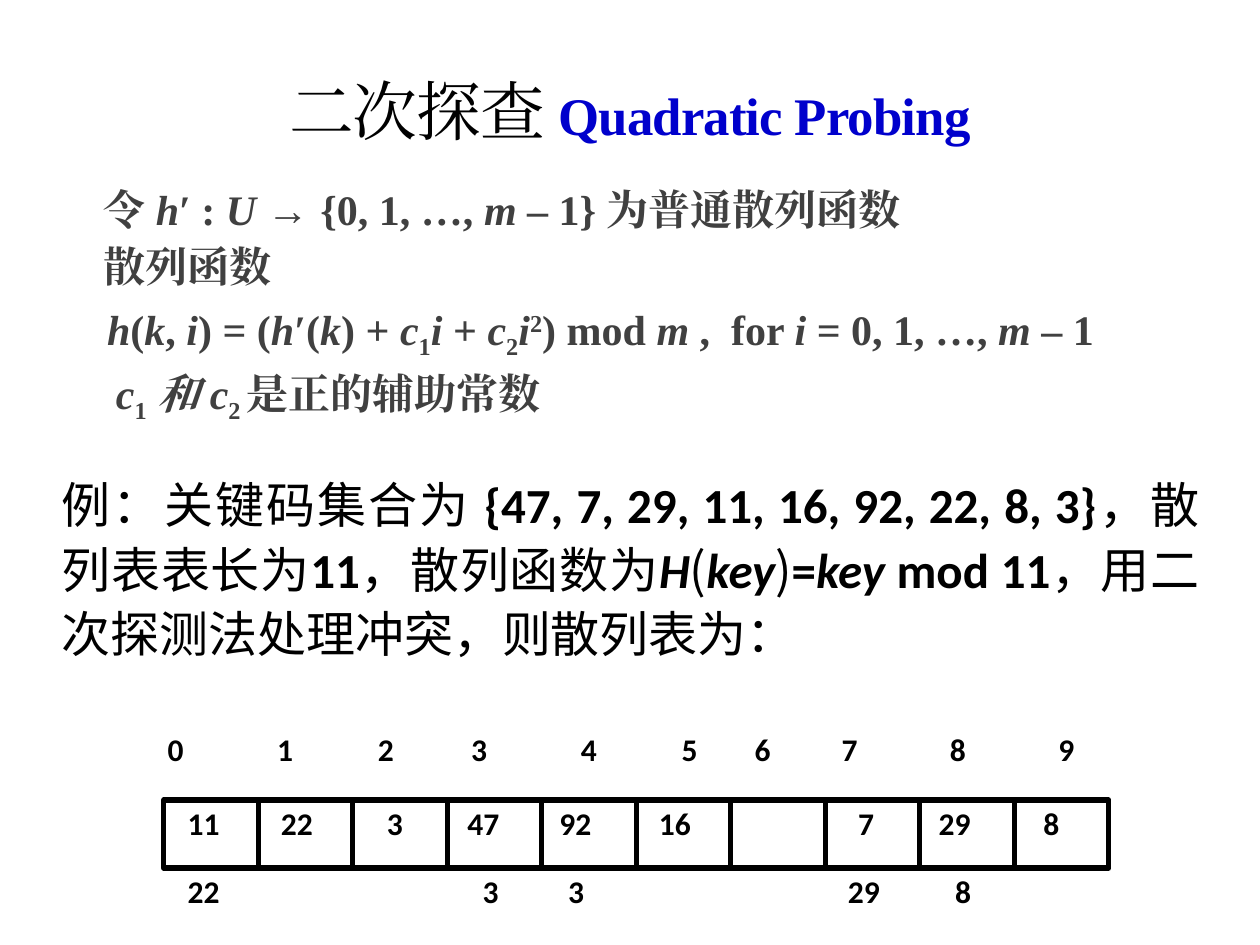
import pptx
import pptx.dml.color
import pptx.enum.shapes
import pptx.enum.text
import pptx.oxml.ns
import pptx.util
from lxml import etree

Inches = pptx.util.Inches
Pt = pptx.util.Pt
qn = pptx.oxml.ns.qn
ALIGN = pptx.enum.text.PP_ALIGN
ANCHOR = pptx.enum.text.MSO_ANCHOR

SERIF, SANS, CJK = "Times New Roman", "Calibri", "Noto Sans CJK SC"


def color(value):
    return pptx.dml.color.RGBColor.from_string(value)


class Deck:
    ink = "000000"
    body_ink = "404040"
    accent = "0000CC"

    def __init__(self, width, height):
        self.prs = pptx.Presentation()
        self.prs.slide_width = Inches(width)
        self.prs.slide_height = Inches(height)
        self.s = self.prs.slides.add_slide(self.prs.slide_layouts[6])

    def style(self, r, size, face, ink=ink, bold=False, italic=False, base=0, spc=0):
        f = r.font
        f.size, f.name, f.bold, f.italic = Pt(size), face, bold, italic
        f.color.rgb = color(ink)
        rPr = r._r.get_or_add_rPr()
        ea = etree.SubElement(rPr, qn("a:ea"))
        ea.set("typeface", face)
        if base:
            rPr.set("baseline", str(base * 1000))
        if spc:
            rPr.set("spc", str(int(spc * 100)))

    def box(self, left, top, width, height, parent=None):
        shapes = (parent or self.s).shapes
        sp = shapes.add_textbox(Inches(left), Inches(top), Inches(width), Inches(height))
        tf = sp.text_frame
        tf.word_wrap = True
        tf.margin_left = tf.margin_top = tf.margin_right = tf.margin_bottom = 0
        return tf

    def runs(self, p, parts):
        for text, look in parts:
            r = p.add_run()
            r.text = text
            self.style(r, **look)

    def label(self, text, left, top, width, parent=None):
        tf = self.box(left, top, width, 0.3, parent)
        tf.text = text
        p = tf.paragraphs[0]
        for r in p.runs:
            self.style(r, 18, SANS, bold=True)
        return p

    def indent(self, p, left):
        p._p.get_or_add_pPr().set("marL", str(Inches(left)))

    def tabs(self, p, stops):
        tab_list = etree.SubElement(p._p.get_or_add_pPr(), qn("a:tabLst"))
        for stop in stops:
            tab = etree.SubElement(tab_list, qn("a:tab"))
            tab.set("pos", str(Inches(stop)))
            tab.set("algn", "l")

    def cell(self, parent, left, top, width, height):
        sp = parent.shapes.add_shape(
            pptx.enum.shapes.MSO_SHAPE.RECTANGLE,
            Inches(left), Inches(top), Inches(width), Inches(height))
        sp.shadow.inherit = False
        sp.fill.background()
        sp.line.color.rgb = color(self.ink)
        sp.line.width = Pt(3)


def main():
    d = Deck(10, 7.5)

    # Title
    tf = d.box(0.75, 0.5, 8.5, 0.83)
    tf.vertical_anchor = ANCHOR.MIDDLE
    p = tf.paragraphs[0]
    p.alignment, p.line_spacing = ALIGN.CENTER, 0.85
    d.runs(p, [
        ("二次探查", dict(size=37, face=SERIF, spc=-0.5)),
        (" Quadratic Probing",
         dict(size=30.2, face=SERIF, ink=d.accent, bold=True, spc=-0.5)),
    ])

    # Definition of quadratic probing
    up = dict(size=24, face=SERIF, ink=d.body_ink, bold=True)
    it = dict(up, italic=True)
    sub = dict(up, base=-25)
    sup = dict(up, base=30)
    arrow = dict(up, face="Arial", bold=False)
    definition = [
        (0.32, [("令 ", up), ("h", it), ("′ : ", up), ("U ", it), ("→ ", arrow),
                ("{0, 1, …, ", up), ("m", it), (" – 1} 为普通散列函数", up)]),
        (0.32, [("散列函数", up)]),
        (0.35, [("h", it), ("(", up), ("k", it), (", ", up), ("i", it), (") = (", up),
                ("h", it), ("′(", up), ("k", it), (") + ", up),
                ("c", it), ("1", sub), ("i ", it), ("+ ", up),
                ("c", it), ("2", sub), ("i", it), ("2", sup), (") mod ", up),
                ("m", it), (" ,  for ", up), ("i", it), (" = 0, 1, …, ", up),
                ("m", it), (" – 1", up)]),
        (0.42, [("c", it), ("1", sub), (" 和 c", it), ("2 ", sub),
                ("是正的辅助常数", up)]),
    ]
    tf = d.box(0.5, 1.5, 9.08, 5.83)
    for n, (left, parts) in enumerate(definition):
        p = tf.add_paragraph() if n else tf.paragraphs[0]
        p.line_spacing, p.space_after = 0.9, Pt(2)
        p.space_before = Pt(5 if n else 0)
        d.indent(p, left)
        d.runs(p, parts)

    # Hash table: cells and slot numbers
    group = d.s.shapes.add_group_shape()
    for n in range(10):
        d.cell(group, 1.3 + 0.75 * n, 6.35, 0.75, 0.54)
    stops = [0.1, 0.97, 1.77, 2.51, 3.38, 4.18, 4.76, 5.45, 6.31, 7.17]
    p = d.label("".join(f"\t{n}" for n in range(10)), 1.23, 5.79, 7.5, group)
    d.tabs(p, stops)

    # Stored keys, and keys that collided below them
    stored = [("11", 1.49), ("22", 2.23), ("3", 3.07), ("47", 3.71), ("92", 4.44),
              ("16", 5.23), ("7", 6.81), ("29", 7.45), ("8", 8.28)]
    collided = [("22", 1.49), ("3", 3.83), ("3", 4.51), ("29", 6.73), ("8", 7.58)]
    for top, keys in ((6.38, stored), (6.92, collided)):
        for key, left in keys:
            d.label(key, left, top, 0.25 * len(key))

    # Worked example
    han = dict(size=28, face=CJK)
    num = dict(size=28, face=SANS, bold=True)
    var = dict(num, italic=True)
    p = d.box(0.49, 3.72, 9.03, 1.56).paragraphs[0]
    p.alignment, p.line_spacing = ALIGN.JUSTIFY, 1.1
    d.runs(p, [
        ("例：关键码集合为 ", han), ("{47, 7, 29, 11, 16, 92, 22, 8, 3}", num),
        ("，散列表表长为", han), ("11", num), ("，散列函数为", han),
        ("H", var), ("(", han), ("key", var), (")", han), ("=", num),
        ("key", var), (" mod 11", num), ("，用二次探测法处理冲突，则散列表为：", han),
    ])

    d.prs.save("out.pptx")


if __name__ == "__main__":
    main()
